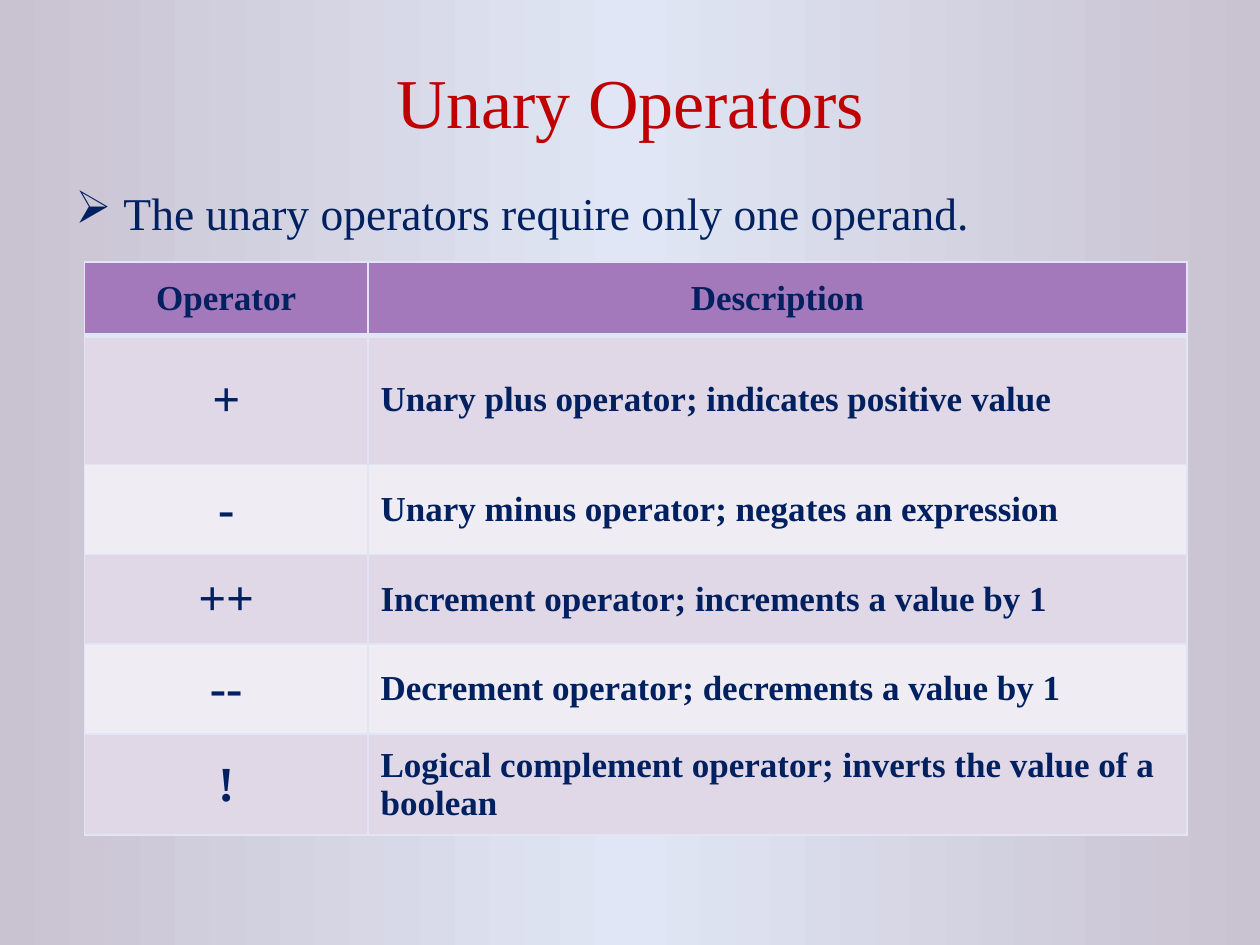
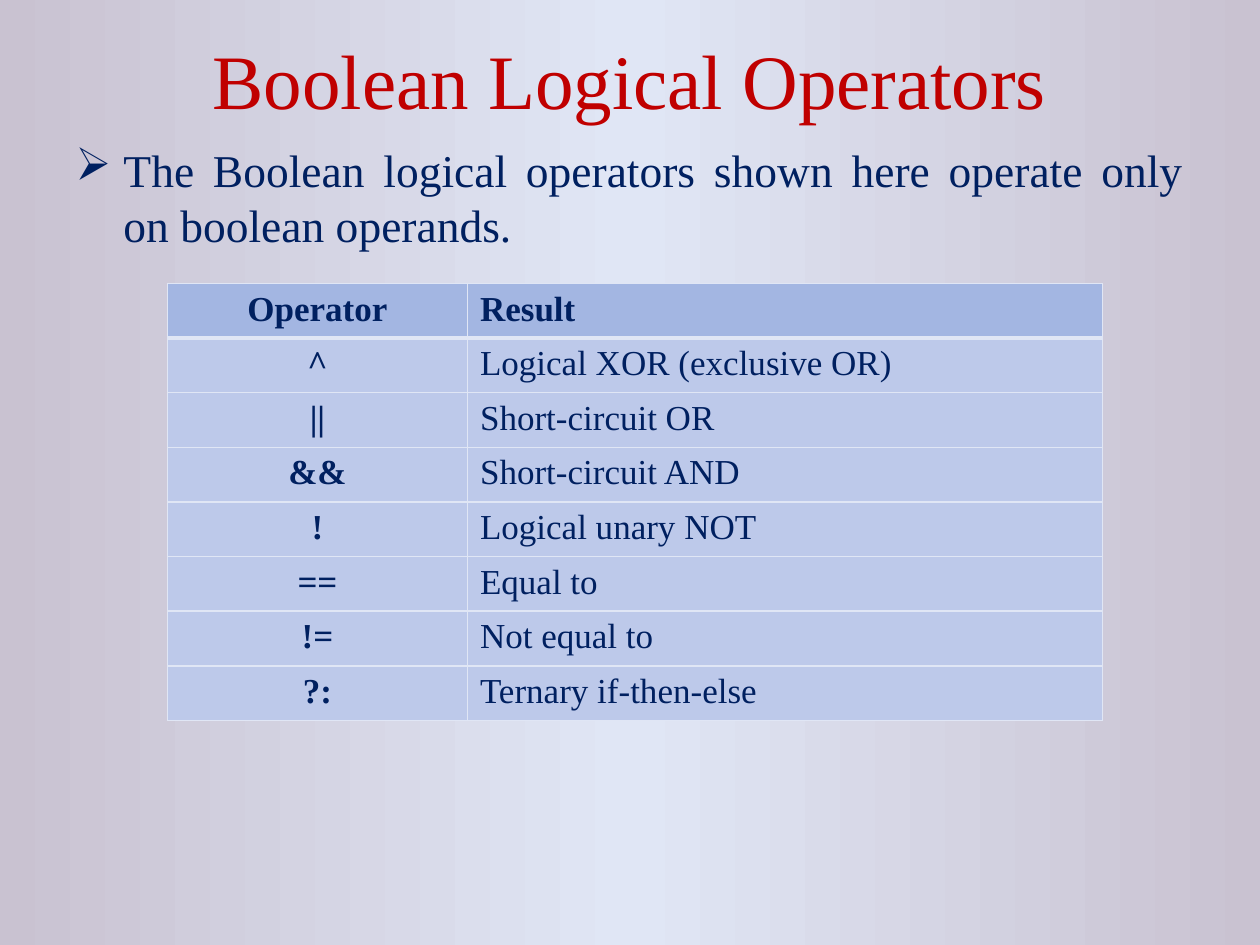
from copy import deepcopy
from dataclasses import dataclass

from lxml.etree import SubElement
from pptx import Presentation
from pptx.dml.color import RGBColor
from pptx.enum.text import MSO_ANCHOR, MSO_AUTO_SIZE, PP_ALIGN
from pptx.oxml.ns import qn
from pptx.util import Inches, Pt


@dataclass(frozen=True)
class Theme:
    font: str = "Times New Roman"
    title: str = "C00000"
    ink: str = "002060"
    edge: str = "C9C2D1"
    glow: str = "E0E6F5"
    lead_size: int = 26
    cell_size: int = 20
    thin: int = 1
    thick: int = 3
    indent: float = 0.38


THEME = Theme()

SLIDES = [
    {
        "title": "Unary Operators",
        "title_size": 40,
        "title_box": (0.75, 0.42, 8.5, 0.75),
        "lead": "The unary operators require only one operand.",
        "lead_box": (0.5, 1.42, 9, 5.28),
        "lead_align": PP_ALIGN.LEFT,
        "rows": [
            ("Operator", "Description"),
            ("+", "Unary plus operator; indicates positive value"),
            ("-", "Unary minus operator; negates an expression"),
            ("++", "Increment operator; increments a value by 1"),
            ("--", "Decrement operator; decrements a value by 1"),
            ("!", "Logical complement operator; inverts the value of a boolean"),
        ],
        "table_box": (0.67, 2.08, 8.75, 4.55),
        "column_shares": (2.25, 6.5),
        "row_shares": (0.58, 1.02, 0.71, 0.71, 0.71, 0.8),
        "header_fill": "A379BB",
        "bands": ("E0D7E7", "F0ECF3"),
        "anchor": MSO_ANCHOR.MIDDLE,
        "symbol_size": 28,
        "description_bold": True,
        "heading_align": PP_ALIGN.CENTER,
    },
    {
        "title": "Boolean Logical Operators",
        "title_size": 44,
        "title_box": (0.5, 0, 9, 1.25),
        "lead": "The Boolean logical operators shown here operate only on boolean operands.",
        "lead_box": (0.5, 1.08, 9, 1.17),
        "lead_align": PP_ALIGN.JUSTIFY,
        "rows": [
            ("Operator", "Result"),
            ("^", "Logical XOR (exclusive OR)"),
            ("||", "Short-circuit OR"),
            ("&&", "Short-circuit AND"),
            ("!", "Logical unary NOT"),
            ("==", "Equal to"),
            ("!=", "Not equal to"),
            ("?:", "Ternary if-then-else"),
        ],
        "table_box": (1.33, 2.25, 7.42, 3.47),
        "column_shares": (2.38, 5.04),
        "row_shares": (1,) * 8,
        "header_fill": "A3B6E2",
        "bands": ("BDC9EA",),
        "anchor": MSO_ANCHOR.TOP,
        "symbol_size": THEME.cell_size,
        "description_bold": False,
        "heading_align": PP_ALIGN.LEFT,
    },
]


def paint_background(master):
    fill = master.background.fill
    fill.gradient()
    fill.gradient_angle = 0
    stop_list = next(master.element.iter(qn("a:gsLst")))
    stop_list.append(deepcopy(stop_list[-1]))
    for stop, position, color in zip(
        fill.gradient_stops, (0, 0.5, 1), (THEME.edge, THEME.glow, THEME.edge)
    ):
        stop.position = position
        stop.color.rgb = RGBColor.from_string(color)


def write(frame, text, size, color, align, bold=False):
    frame.text = text
    paragraph = frame.paragraphs[0]
    paragraph.alignment = align
    font = paragraph.runs[0].font
    font.name, font.size, font.bold = THEME.font, Pt(size), bold
    font.color.rgb = RGBColor.from_string(color)
    return paragraph


def place(placeholder, box):
    placeholder.left, placeholder.top, placeholder.width, placeholder.height = map(Inches, box)
    placeholder.text_frame.auto_size = MSO_AUTO_SIZE.NONE
    return placeholder.text_frame


def add_arrow_bullet(paragraph):
    properties = paragraph._p.get_or_add_pPr()
    properties.set("marL", str(Inches(THEME.indent)))
    properties.set("indent", str(-Inches(THEME.indent)))
    SubElement(properties, qn("a:buFont"), typeface="Wingdings")
    SubElement(properties, qn("a:buChar"), char="Ø")


def set_borders(cell, row):
    widths = {
        "L": THEME.thin,
        "R": THEME.thin,
        "T": THEME.thick if row == 1 else THEME.thin,
        "B": THEME.thick if row == 0 else THEME.thin,
    }
    properties = cell._tc.get_or_add_tcPr()
    for side, width in widths.items():
        line = SubElement(properties, qn(f"a:ln{side}"), w=str(Pt(width)))
        SubElement(SubElement(line, qn("a:solidFill")), qn("a:srgbClr"), val=THEME.glow)


def add_operator_table(slide, content):
    rows = content["rows"]
    left, top, width, height = map(Inches, content["table_box"])
    table = slide.shapes.add_table(len(rows), 2, left, top, width, height).table
    for column, share in zip(table.columns, content["column_shares"]):
        column.width = int(width * share / sum(content["column_shares"]))
    for row, share in zip(table.rows, content["row_shares"]):
        row.height = int(height * share / sum(content["row_shares"]))

    bands = content["bands"]
    for r, entries in enumerate(rows):
        fill = bands[(r - 1) % len(bands)] if r else content["header_fill"]
        for c, text in enumerate(entries):
            cell = table.cell(r, c)
            cell.vertical_anchor = content["anchor"]
            set_borders(cell, r)
            cell.fill.solid()
            cell.fill.fore_color.rgb = RGBColor.from_string(fill)
            is_symbol = r > 0 and c == 0
            size = content["symbol_size"] if is_symbol else THEME.cell_size
            bold = r == 0 or c == 0 or content["description_bold"]
            if c == 0:
                align = PP_ALIGN.CENTER
            else:
                align = PP_ALIGN.LEFT if r else content["heading_align"]
            write(cell.text_frame, text, size, THEME.ink, align, bold)


def add_operator_slide(deck, content):
    slide = deck.slides.add_slide(deck.slide_layouts[1])
    title = place(slide.shapes.title, content["title_box"])
    title.vertical_anchor = MSO_ANCHOR.MIDDLE
    write(title, content["title"], content["title_size"], THEME.title, PP_ALIGN.CENTER)
    lead = place(slide.placeholders[1], content["lead_box"])
    add_arrow_bullet(
        write(lead, content["lead"], THEME.lead_size, THEME.ink, content["lead_align"])
    )
    add_operator_table(slide, content)


def main():
    deck = Presentation()
    deck.slide_width, deck.slide_height = Inches(10), Inches(7.5)
    paint_background(deck.slide_master)
    for content in SLIDES:
        add_operator_slide(deck, content)
    deck.save("out.pptx")


if __name__ == "__main__":
    main()
